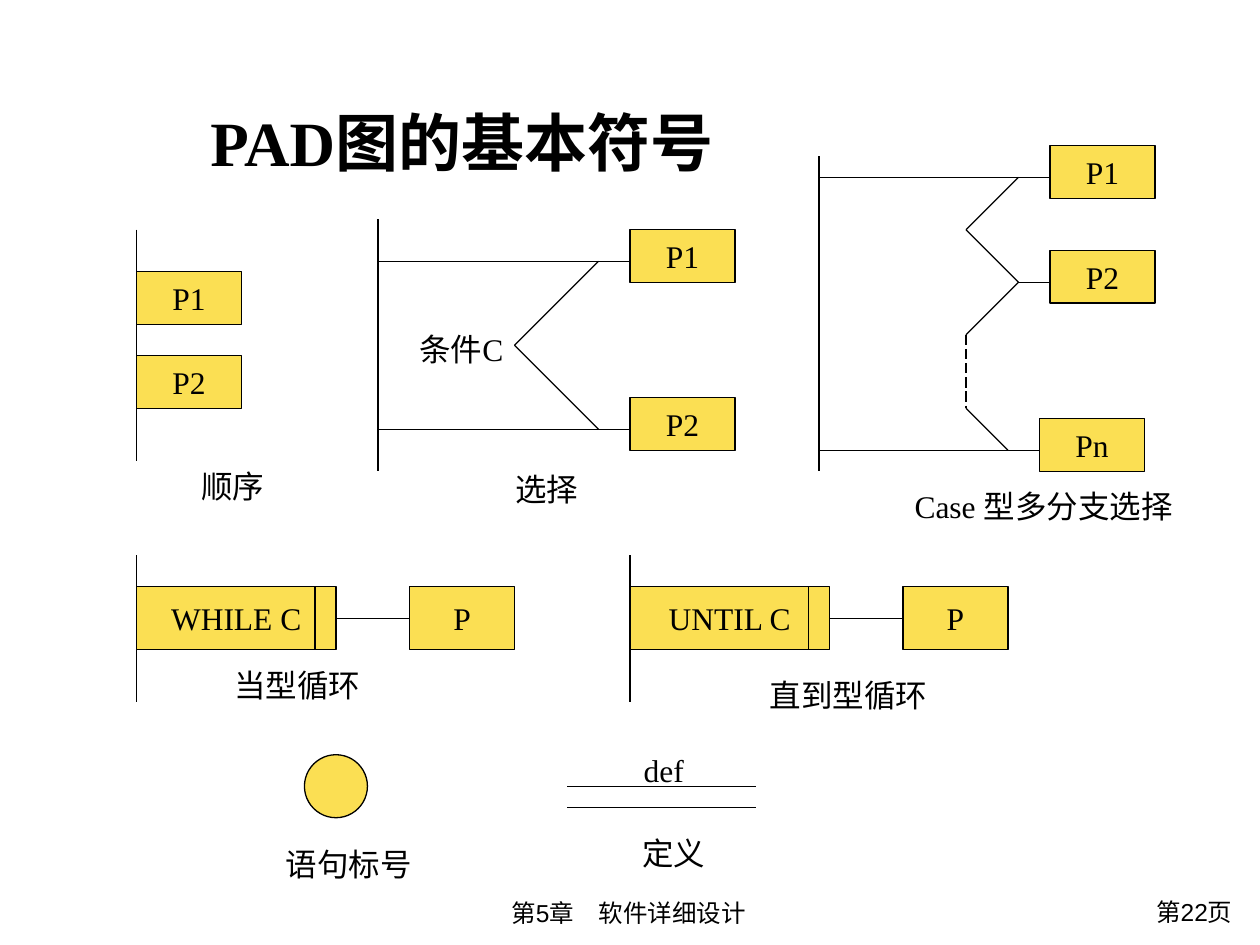
from itertools import pairwise

from lxml import etree
from pptx import Presentation
from pptx.dml.color import RGBColor
from pptx.enum.dml import MSO_LINE
from pptx.enum.shapes import MSO_CONNECTOR, MSO_SHAPE
from pptx.enum.text import MSO_ANCHOR, MSO_AUTO_SIZE, PP_ALIGN
from pptx.oxml.ns import qn
from pptx.util import Pt

LEFT, CENTER, RIGHT = PP_ALIGN.LEFT, PP_ALIGN.CENTER, PP_ALIGN.RIGHT
RECT, OVAL = MSO_SHAPE.RECTANGLE, MSO_SHAPE.OVAL
COLORS = {"ink": "000000", "box": "FBDF53"}
SERIF, SANS = "Times New Roman", "Arial"
GRID, ROW_SHIFT = 6, -0.7  # the diagrams sit on a 6 pt grid
BOX_W, BOX_H, LOOP_W, LOOP_H = 10, 5, 19, 6  # grid steps


def color(name):
    return RGBColor.from_string(COLORS[name])


def col(step):
    return Pt(step * GRID)


def row(step):
    return Pt(step * GRID + ROW_SHIFT)


def add_run(frame, text, size, font_name, align, bold=False):
    paragraph = frame.paragraphs[0]
    paragraph.alignment = align
    run = paragraph.add_run()
    run.text = text
    run.font.size = Pt(size)
    run.font.name = font_name
    run.font.bold = bold
    run.font.color.rgb = color("ink")


def add_line(slide, *points, dashed=False):
    """Join grid points with straight lines."""
    for (x1, y1), (x2, y2) in pairwise(points):
        line = slide.shapes.add_connector(
            MSO_CONNECTOR.STRAIGHT, col(x1), row(y1), col(x2), row(y2))
        line.line.width = Pt(0.75)
        line.line.color.rgb = color("ink")
        if dashed:
            line.line.dash_style = MSO_LINE.LONG_DASH
        etree.SubElement(line._element.spPr, qn("a:effectLst"))


def add_symbol(slide, kind, x, y, width, height, text=""):
    symbol = slide.shapes.add_shape(kind, col(x), row(y), col(width), col(height))
    symbol.shadow.inherit = False
    symbol.fill.solid()
    symbol.fill.fore_color.rgb = color("box")
    symbol.line.color.rgb = color("ink")
    symbol.line.width = Pt(0.75)
    if text:
        frame = symbol.text_frame
        frame.word_wrap = False
        frame.vertical_anchor = MSO_ANCHOR.MIDDLE
        add_run(frame, text, 18, SERIF, CENTER)


def add_process(slide, x, y, text, height=BOX_H):
    add_symbol(slide, RECT, x, y, BOX_W, height, text)


def add_caption(slide, text, left, top, width):
    box = slide.shapes.add_textbox(Pt(left), Pt(top), Pt(width), Pt(28.8))
    box.text_frame.word_wrap = False
    box.text_frame.auto_size = MSO_AUTO_SIZE.SHAPE_TO_FIT_TEXT
    add_run(box.text_frame, text, 18, SERIF, LEFT)


def add_footer(slide, text, left, top, width, align):
    box = slide.shapes.add_textbox(Pt(left), Pt(top), Pt(width), Pt(25))
    box.text_frame.word_wrap = True
    add_run(box.text_frame, text, 14, SANS, align)


def add_title(slide, text):
    title = slide.shapes.title
    title.left, title.top, title.width, title.height = (
        Pt(95), Pt(55.4), Pt(331.2), Pt(50.4))
    frame = title.text_frame
    frame.auto_size = MSO_AUTO_SIZE.NONE
    frame.word_wrap = True
    frame.vertical_anchor = MSO_ANCHOR.TOP
    frame.margin_left = Pt(25.2)
    frame.paragraphs[0].space_before = Pt(0)
    add_run(frame, text, 36, SERIF, LEFT, bold=True)


def draw_sequence(slide):
    add_process(slide, 13, 26, "P1")
    add_process(slide, 13, 34, "P2")
    add_line(slide, (13, 22), (13, 44))
    add_caption(slide, "顺序", 108, 263.5, 50.4)


def draw_selection(slide):
    add_line(slide, (36, 21), (36, 45))
    add_line(slide, (57, 25), (49, 33), (57, 41))
    for y, name in ((25, "P1"), (41, "P2")):
        add_line(slide, (36, y), (60, y))
        add_process(slide, 60, y - 3, name)
    add_caption(slide, "条件C", 232.6, 185, 66.2)
    add_caption(slide, "选择", 287.3, 265, 50.4)


def draw_case(slide):
    add_line(slide, (78, 15), (78, 45))
    # Branches
    for start, end, y, name in ((78, 100, 17, "P1"), (97, 100, 27, "P2"),
                                (78, 99, 43, "Pn")):
        add_line(slide, (start, y), (end, y))
        add_process(slide, end, y - 3, name)
    # Zigzag, with the omitted branches dashed
    add_line(slide, (97, 17), (92, 22), (97, 27), (92, 32))
    add_line(slide, (92, 32), (92, 39), dashed=True)
    add_line(slide, (92, 39), (96, 43))
    add_caption(slide, "Case 型多分支选择", 515.5, 275, 166.3)


def draw_loop(slide, x, condition):
    add_line(slide, (x, 53), (x, 67))
    add_symbol(slide, RECT, x, 56, LOOP_W, LOOP_H, condition)
    add_line(slide, (x + 17, 56), (x + 17, 62))
    add_line(slide, (x + LOOP_W, 59), (x + 26, 59))
    add_process(slide, x + 26, 56, "P", LOOP_H)


def draw_label_and_definition(slide):
    add_symbol(slide, OVAL, 29, 72, 6, 6)
    add_caption(slide, "语句标号", 156.2, 479.5, 86.4)
    for y in (75, 77):
        add_line(slide, (54, y), (72, y))
    add_caption(slide, "def", 360.7, 425.5, 37.4)
    add_caption(slide, "定义", 360, 473, 50.4)


def main():
    prs = Presentation()
    prs.slide_width, prs.slide_height = Pt(720), Pt(540)
    slide = prs.slides.add_slide(prs.slide_layouts[5])
    add_title(slide, "PAD图的基本符号")

    # Control structures
    draw_sequence(slide)
    draw_selection(slide)
    draw_case(slide)
    draw_loop(slide, 13, "WHILE C")
    add_caption(slide, "当型循环", 126.7, 377.3, 86.4)
    draw_loop(slide, 60, "UNTIL C")
    add_caption(slide, "直到型循环", 432.7, 383, 104.4)
    draw_label_and_definition(slide)

    # Footer
    add_footer(slide, "第5章　软件详细设计", 169.2, 509.8, 380.2, CENTER)
    add_footer(slide, "第22页", 614.9, 509, 96.5, RIGHT)
    prs.save("out.pptx")


if __name__ == "__main__":
    main()
